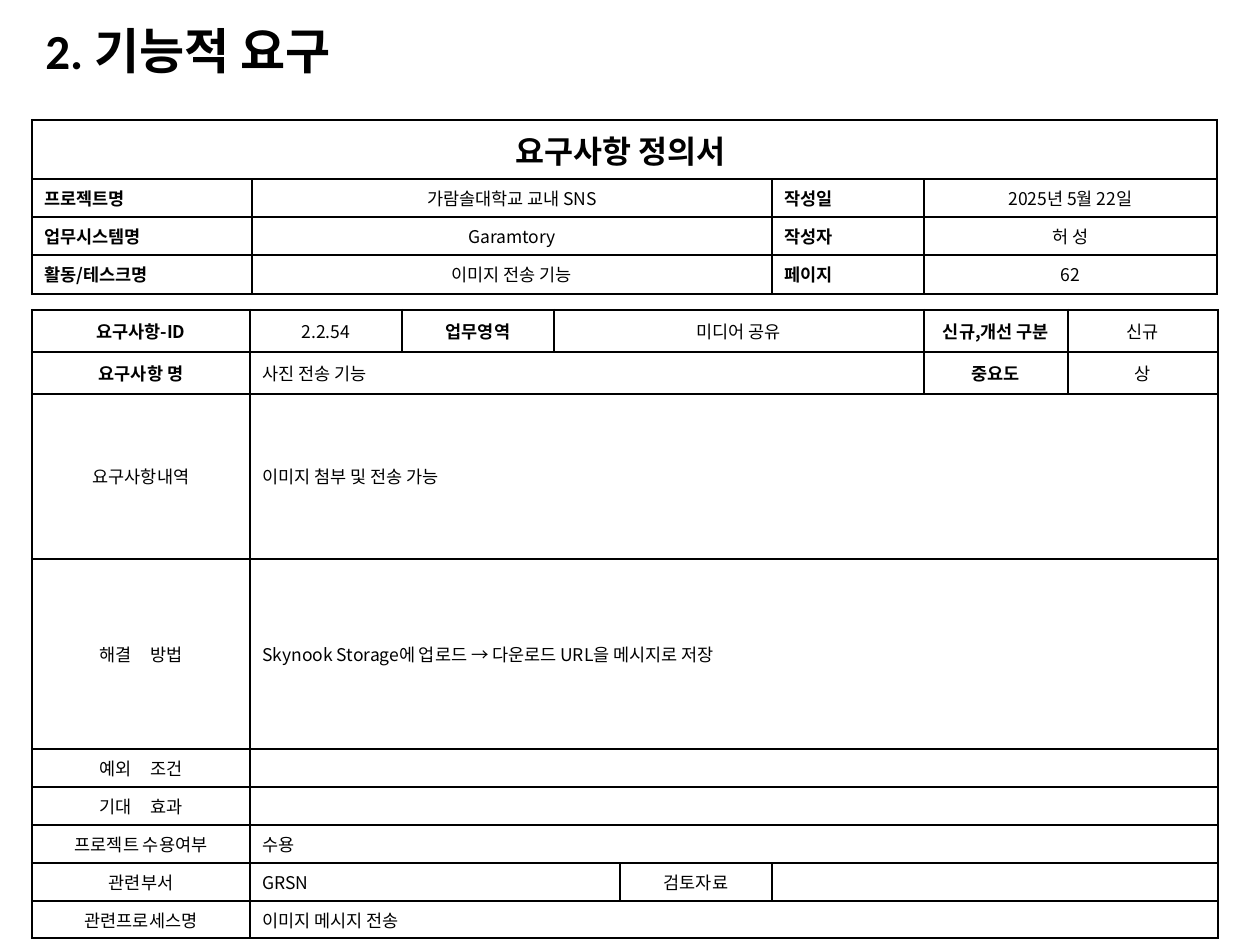
from dataclasses import dataclass

from lxml.etree import SubElement
from pptx import Presentation
from pptx.dml.color import RGBColor
from pptx.enum.text import MSO_ANCHOR, PP_ALIGN
from pptx.oxml.ns import qn
from pptx.util import Emu, Pt

BLACK = "000000"
SANS = "Noto Sans CJK KR"
THIN, THICK = 1, 1.5
WIDE_GAP = "900"
LEFT, CENTER, JUSTIFY = PP_ALIGN.LEFT, PP_ALIGN.CENTER, PP_ALIGN.JUSTIFY


@dataclass
class Entry:
    """One table cell, spanning one or more columns."""
    text: str = ""
    span: int = 1
    align: PP_ALIGN = CENTER
    bold: bool = False
    size: int = 10
    anchor: MSO_ANCHOR = MSO_ANCHOR.MIDDLE
    wide_gap: bool = False


@dataclass
class Form:
    """A bordered table with its position, grid and entries."""
    left: int
    top: int
    columns: list[int]
    heights: list[int]
    rows: list[list[Entry]]
    thick_lines: set[int]


def px(length: int) -> Emu:
    """Turn pixels into EMU."""
    return Emu(round(length * 914400 / 126))


def color(value: str) -> RGBColor:
    """Turn a hex string into a colour."""
    return RGBColor.from_string(value)


def style_font(paragraph, name: str, size: int, bold: bool) -> None:
    """Set the font that all runs of a paragraph share."""
    font = paragraph.font
    font.name, font.size, font.bold = name, Pt(size), bold
    font.color.rgb = color(BLACK)


def write_text(paragraph, entry: Entry) -> None:
    """Write an entry, widening its word gap by character spacing if asked."""
    paragraph.alignment = entry.align
    style_font(paragraph, SANS, entry.size, entry.bold)
    if not entry.text:
        SubElement(paragraph._p, qn("a:endParaRPr"), sz=str(entry.size * 100))
        return
    parts = entry.text.partition(" ") if entry.wide_gap else [entry.text]
    for part in parts:
        span = paragraph.add_run()
        span.text = part
        if part == " ":
            span._r.get_or_add_rPr().set("spc", WIDE_GAP)


def draw_borders(cell, widths: dict[str, float]) -> None:
    """Draw the cell's edges with the given widths in points."""
    properties = cell._tc.get_or_add_tcPr()
    for side, width in widths.items():
        line = SubElement(properties, qn(f"a:ln{side}"), w=str(Pt(width)))
        SubElement(SubElement(line, qn("a:solidFill")), qn("a:srgbClr"), val=BLACK)


def draw_form(page, form: Form) -> None:
    """Draw a form as a table."""
    row_count, column_count = len(form.heights), len(form.columns)
    table = page.shapes.add_table(
        row_count, column_count, px(form.left), px(form.top),
        px(sum(form.columns)), px(sum(form.heights))).table
    table.first_row = table.horz_banding = False
    for column, width in zip(table.columns, form.columns):
        column.width = px(width)
    for row, height in zip(table.rows, form.heights):
        row.height = px(height)
    for row, entries in enumerate(form.rows):
        start = 0
        for entry in entries:
            end = start + entry.span
            origin = table.cell(row, start)
            if entry.span > 1:
                origin.merge(table.cell(row, end - 1))
            origin.vertical_anchor = entry.anchor
            write_text(origin.text_frame.paragraphs[0], entry)
            widths = {
                "L": THIN if start else THICK,
                "R": THICK if end == column_count else THIN,
                "T": THICK if row in form.thick_lines else THIN,
                "B": THICK if row + 1 in form.thick_lines else THIN,
            }
            for column in range(start, end):
                cell = table.cell(row, column)
                draw_borders(cell, widths)
                cell.fill.background()
            start = end


def draw_title(page, text: str) -> None:
    """Draw the page title."""
    box = page.shapes.add_textbox(px(33), px(26), px(675), px(55))
    frame = box.text_frame
    frame.word_wrap = True
    frame.vertical_anchor = MSO_ANCHOR.MIDDLE
    paragraph = frame.paragraphs[0]
    paragraph.text = text
    paragraph.line_spacing = 0.9
    style_font(paragraph, "Calibri", 28, True)


def project_row(label: str, value: str, side_label: str, side_value: str) -> list[Entry]:
    """Make a row of two labels, each with its value."""
    top = MSO_ANCHOR.TOP
    return [entry for name, content in ((label, value), (side_label, side_value))
            for entry in (Entry(name, align=JUSTIFY, bold=True, anchor=top),
                          Entry(content, anchor=top))]


def detail_row(label: str, value: str = "", wide_gap: bool = False) -> list[Entry]:
    """Make a row of one label and a value over the remaining columns."""
    return [Entry(label, wide_gap=wide_gap), Entry(value, 7, LEFT)]


PROJECT = Form(
    32, 120, [220, 520, 152, 293], [59, 38, 38, 39],
    [
        [Entry("요구사항 정의서 ", 4, bold=True, size=18)],
        project_row("프로젝트명", "가람솔대학교 교내 SNS", "작성일", "2025년 5월 22일"),
        project_row("업무시스템명 ", "Garamtory", "작성자", "허 성"),
        project_row("활동/테스크명", "이미지 전송 기능", "페이지", "62"),
    ],
    {0, 4})

REQUIREMENT = Form(
    32, 310, [218, 152, 152, 66, 152, 152, 144, 150],
    [42, 42, 165, 190, 38, 38, 38, 38, 37],
    [
        [Entry("요구사항-ID", bold=True), Entry("2.2.54"), Entry("업무영역", bold=True),
         Entry("미디어 공유", 3), Entry("신규,개선 구분", bold=True), Entry("신규")],
        [Entry("요구사항 명", bold=True), Entry("사진 전송 기능", 5, LEFT),
         Entry("중요도", bold=True), Entry("상")],
        detail_row("요구사항내역", "이미지 첨부 및 전송 가능"),
        detail_row("해결 방법", "Skynook Storage에 업로드 → 다운로드 URL을 메시지로 저장", True),
        detail_row("예외 조건", wide_gap=True),
        detail_row("기대 효과", wide_gap=True),
        detail_row("프로젝트 수용여부", "수용"),
        [Entry("관련부서"), Entry("GRSN", 3, LEFT), Entry("검토자료"), Entry(span=3)],
        detail_row("관련프로세스명", "이미지 메시지 전송"),
    ],
    {0, 1, 2, 9})


def main() -> None:
    """Build the deck and save it."""
    deck = Presentation()
    deck.slide_width, deck.slide_height = px(1260), px(945)
    page = deck.slides.add_slide(deck.slide_layouts[6])
    draw_title(page, "2. 기능적 요구")
    for form in (REQUIREMENT, PROJECT):
        draw_form(page, form)
    deck.save("out.pptx")


if __name__ == "__main__":
    main()
